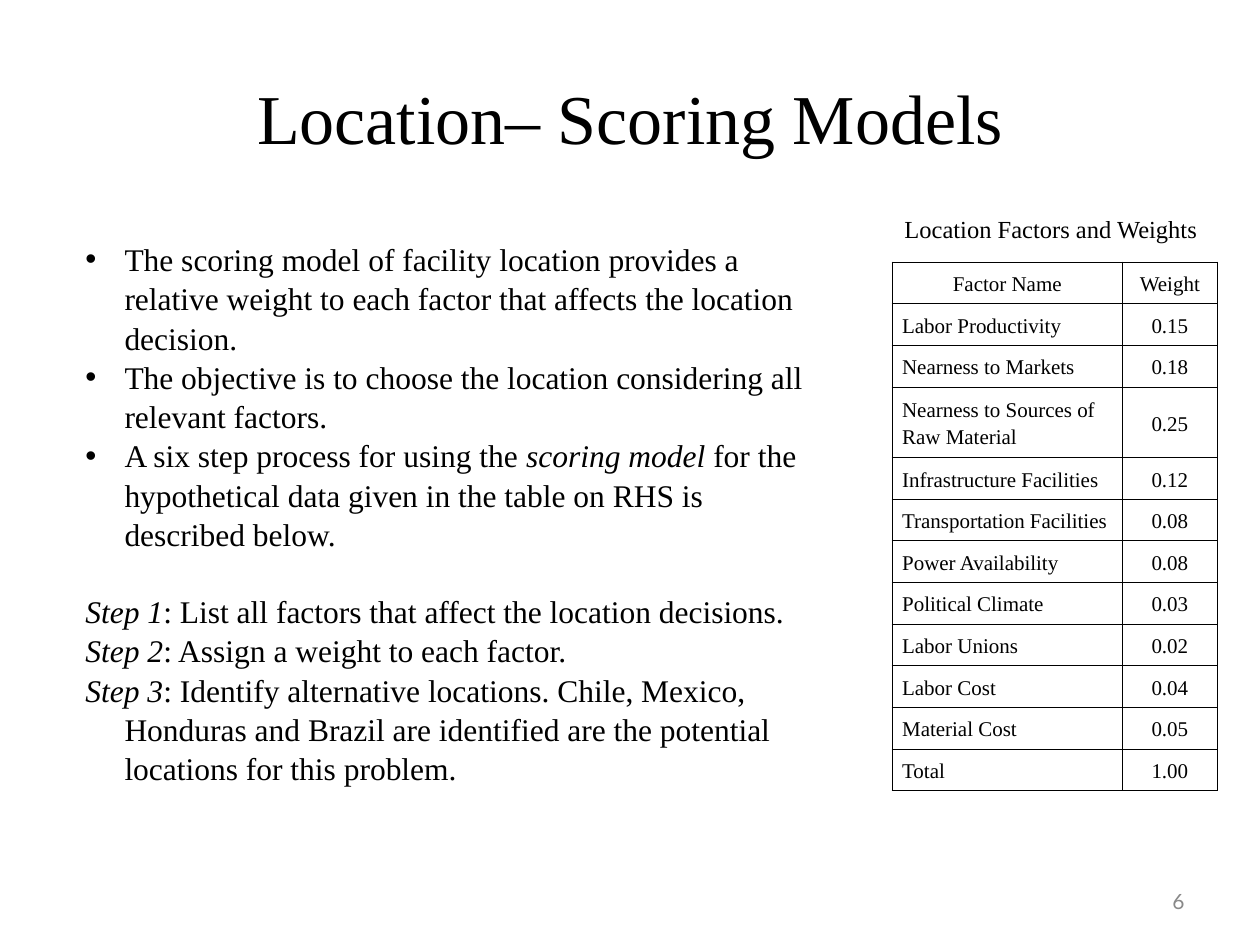
from lxml import etree
from pptx import Presentation
from pptx.dml.color import RGBColor
from pptx.enum.text import MSO_ANCHOR, PP_ALIGN
from pptx.oxml.ns import qn
from pptx.util import Inches, Pt

LEFT, CENTER, RIGHT = PP_ALIGN.LEFT, PP_ALIGN.CENTER, PP_ALIGN.RIGHT
TOP, MIDDLE = MSO_ANCHOR.TOP, MSO_ANCHOR.MIDDLE
BLACK = RGBColor(0x00, 0x00, 0x00)
GRAY = RGBColor(0x89, 0x89, 0x89)
SERIF, SANS = "Times New Roman", "Lato"

TITLE = "Location– Scoring Models"
TABLE_CAPTION = "Location Factors and Weights"
PAGE_NUMBER = "6"
BULLETS = [
    [("The scoring model of facility location provides a relative weight to each factor "
      "that affects the location decision.", False)],
    [("The objective is to choose the location considering all relevant factors.", False)],
    [("A six step process for using the ", False), ("scoring model ", True),
     ("for the hypothetical data given in the table on RHS is described below.", False)],
]
STEPS = [
    "List all factors that affect the location decisions.",
    "Assign a weight to each factor.",
    "Identify alternative locations. Chile, Mexico, Honduras and Brazil are identified "
    "are the potential locations for this problem.",
]
FACTORS = [
    ("Factor Name", "Weight"),
    ("Labor Productivity", "0.15"),
    ("Nearness to Markets", "0.18"),
    ("Nearness to Sources of Raw Material", "0.25"),
    ("Infrastructure Facilities", "0.12"),
    ("Transportation Facilities", "0.08"),
    ("Power Availability", "0.08"),
    ("Political Climate", "0.03"),
    ("Labor Unions", "0.02"),
    ("Labor Cost", "0.04"),
    ("Material Cost", "0.05"),
    ("Total", "1.00"),
]
COLUMN_WIDTHS = (1.83, 0.75)
ROW_HEIGHT, TALL_ROW_HEIGHT, TALL_ROW = 0.28, 0.46, 3
BODY_SIZE, BODY_LINE_SPACING, STEP_GAP = 18, 1.04, 21.6
INDENT = 0.31


def add_run(paragraph, text, size, font=SERIF, color=BLACK, italic=False):
    run = paragraph.add_run()
    run.text = text
    run.font.name = font
    run.font.size = Pt(size)
    run.font.italic = italic
    run.font.color.rgb = color


def add_text_frame(slide, left, top, width, height, anchor=MIDDLE, wrap=True):
    box = slide.shapes.add_textbox(Inches(left), Inches(top), Inches(width), Inches(height))
    frame = box.text_frame
    frame.word_wrap = wrap
    frame.vertical_anchor = anchor
    return frame


def add_label(slide, bounds, text, size, alignment, font=SERIF, color=BLACK, **frame_options):
    paragraph = add_text_frame(slide, *bounds, **frame_options).paragraphs[0]
    paragraph.alignment = alignment
    add_run(paragraph, text, size, font, color)


def set_hanging_indent(paragraph, bullet):
    properties = paragraph._p.get_or_add_pPr()
    properties.set("marL", str(Inches(INDENT)))
    properties.set("indent", str(-Inches(INDENT)))
    if bullet:
        etree.SubElement(properties, qn("a:buFont"), typeface="Arial")
        etree.SubElement(properties, qn("a:buChar"), char="•")


def add_body(slide):
    frame = add_text_frame(slide, 0.58, 1.92, 6.08, 4.3)
    steps = [[(f"Step {number}", True), (f": {text}", False)]
             for number, text in enumerate(STEPS, 1)]
    for index, runs in enumerate(BULLETS + steps):
        paragraph = frame.add_paragraph() if index else frame.paragraphs[0]
        paragraph.line_spacing = BODY_LINE_SPACING
        if index == len(BULLETS):
            paragraph.space_before = Pt(STEP_GAP)
        set_hanging_indent(paragraph, bullet=index < len(BULLETS))
        for text, italic in runs:
            add_run(paragraph, text, BODY_SIZE, italic=italic)


def set_borders(cell):
    properties = cell._tc.get_or_add_tcPr()
    for side in ("lnL", "lnR", "lnT", "lnB"):
        line = etree.SubElement(properties, qn(f"a:{side}"), w=str(Pt(0.45)))
        fill = etree.SubElement(line, qn("a:solidFill"))
        etree.SubElement(fill, qn("a:srgbClr"), val=str(BLACK))


def add_factor_table(slide):
    heights = [TALL_ROW_HEIGHT if row == TALL_ROW else ROW_HEIGHT
               for row in range(len(FACTORS))]
    table = slide.shapes.add_table(
        len(FACTORS), len(COLUMN_WIDTHS), Inches(7.08), Inches(2.08),
        Inches(sum(COLUMN_WIDTHS)), Inches(sum(heights))).table
    table.first_row = table.horz_banding = False
    for column, width in zip(table.columns, COLUMN_WIDTHS):
        column.width = Inches(width)
    for row_index, values in enumerate(FACTORS):
        table.rows[row_index].height = Inches(heights[row_index])
        for column_index, text in enumerate(values):
            cell = table.cell(row_index, column_index)
            set_borders(cell)
            cell.fill.background()
            cell.vertical_anchor = MIDDLE
            cell.margin_left = cell.margin_right = Inches(0.08)
            cell.margin_top = cell.margin_bottom = Inches(0.05)
            paragraph = cell.text_frame.paragraphs[0]
            paragraph.line_spacing = 1.15
            paragraph.alignment = LEFT if row_index and not column_index else CENTER
            add_run(paragraph, text, 12)


def main():
    presentation = Presentation()
    presentation.slide_width = Inches(10)
    presentation.slide_height = Inches(7.5)
    slide = presentation.slides.add_slide(presentation.slide_layouts[6])
    add_label(slide, (0.5, 0.3, 9, 1.25), TITLE, 40, CENTER)
    add_factor_table(slide)
    add_label(slide, (7.17, 6.95, 2.33, 0.4), PAGE_NUMBER, 12, RIGHT, SANS, GRAY)
    add_body(slide)
    add_label(slide, (7.08, 1.65, 2.54, 0.34), TABLE_CAPTION, 14, LEFT, anchor=TOP, wrap=False)
    presentation.save("out.pptx")


if __name__ == "__main__":
    main()
